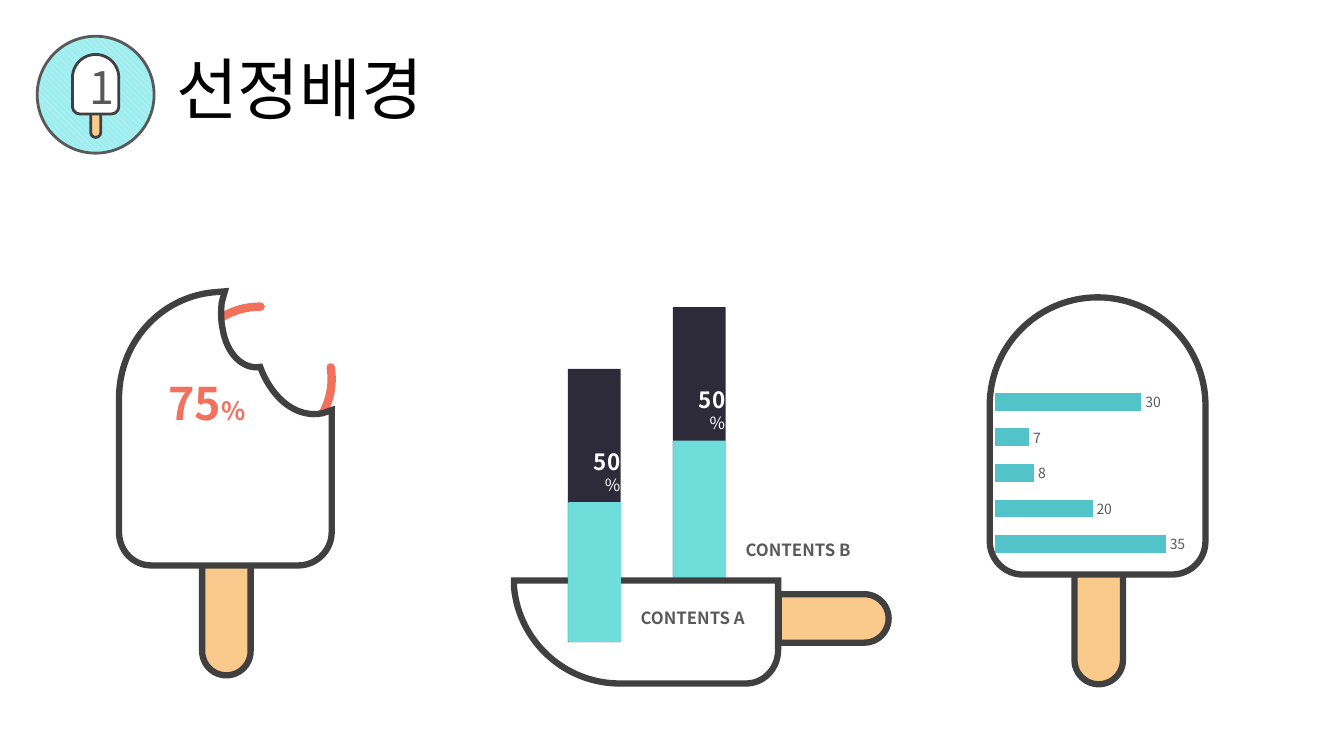
from lxml.etree import SubElement
from pptx import Presentation
from pptx.chart.data import CategoryChartData as ChartData
from pptx.dml.color import RGBColor as RGB
from pptx.enum.chart import XL_CHART_TYPE as ChartType, XL_LABEL_POSITION as LabelPos
from pptx.enum.dml import MSO_PATTERN as Pattern
from pptx.enum.shapes import MSO_SHAPE as Shape
from pptx.enum.text import MSO_ANCHOR as Anchor, PP_ALIGN as Align
from pptx.oxml.ns import qn
from pptx.util import Pt

FONT = "Noto Sans CJK KR"
COLORS = {
    "ink": "404040", "gray": "595959", "black": "000000", "white": "FFFFFF",
    "stick": "FACA8D", "coral": "F1715C", "navy": "2D2A3A", "bar": "52C4C9",
    "mint": "6FDEDB", "teal": "64D8D7", "ice": "D1F6F7", "aqua": "9FEEEF",
}
DOME, TIP = (0.5, 0.154), (0, 0.5)  # corner rounding: top, bottom


def color(name):
    return RGB.from_string(COLORS[name])


def paint(shape, fill=None, line=None, width=4.5):
    shape.shadow.inherit = False
    if fill:
        shape.fill.solid()
        shape.fill.fore_color.rgb = color(fill)
    else:
        shape.fill.background()
    if line:
        shape.line.color.rgb = color(line)
        shape.line.width = Pt(width)
    else:
        shape.line.fill.background()


def hatch(shape, pattern, fore, back):
    shape.fill.patterned()
    shape.fill.pattern = pattern
    shape.fill.fore_color.rgb = color(fore)
    shape.fill.back_color.rgb = color(back)


def add(shapes, kind, box, fill=None, line=None, width=4.5, adjust=(), turn=0):
    shape = shapes.add_shape(kind, *map(Pt, box))
    for i, value in enumerate(adjust):
        shape.adjustments[i] = value
    shape.rotation = turn
    paint(shape, fill, line, width)
    return shape


def write(shape, parts, tint, align=Align.LEFT):
    """Fill one paragraph with (text, size, bold) parts."""
    para = shape.text_frame.paragraphs[0]
    para.alignment = align
    for text, size, bold in parts:
        run = para.add_run()
        run.text = text
        run.font.size, run.font.bold, run.font.name = Pt(size), bold, FONT
        run.font.color.rgb = color(tint)
        SubElement(run.font._element, qn("a:ea"), typeface=FONT)


def label(shapes, box, parts, tint, align=Align.LEFT, wrap=True, inset=7.2):
    shape = shapes.add_textbox(*map(Pt, box))
    shape.text_frame.word_wrap = wrap
    shape.text_frame.margin_left = Pt(inset)
    write(shape, parts, tint, align)


def outline(shapes, start, steps):
    """Draw a closed shape; a step is one point (line) or three (curve)."""
    spots = [(Pt(x), Pt(y)) for step in steps for x, y in step]
    pen = shapes.build_freeform(*map(Pt, start))
    pen.add_line_segments(spots, close=True)
    shape = pen.convert_to_shape()
    paint(shape, "white", "ink")
    SubElement(shape.line._get_or_add_ln(), qn("a:miter"), lim="800000")

    # Merge each run of three line points into one curve
    lines = iter(list(shape._element.iter(qn("a:lnTo"))))
    for step in steps:
        first, *others = [next(lines) for _ in step]
        if others:
            first.tag = qn("a:cubicBezTo")
            for other in others:
                first.append(other[0])
                other.getparent().remove(other)


def stick(shapes, box, width=4.5, turn=0):
    add(shapes, Shape.ROUND_2_SAME_RECTANGLE, box, "stick", "ink", width, TIP, turn)


def dome(shapes, box, width=4.5):
    return add(shapes, Shape.ROUND_2_SAME_RECTANGLE, box, "white", "ink", width, DOME)


def stack(shapes, mid, top):
    """Draw an upright bar, half filled, with its share."""
    group = shapes.add_group_shape().shapes
    parts = ((195.1, 97.6, "navy"), (99.4, 145.1, "mint"))
    for size, drop, fill in parts:
        box = (mid - size / 2, top + drop - 18.85, size, 37.7)
        bar = add(group, Shape.RECTANGLE, box, fill, turn=270)
    hatch(bar, Pattern.DARK_VERTICAL, "mint", "teal")
    label(shapes, (mid - 24.8, top + 53, 50.4, 26.6),
          [("50", 16, True), ("%", 12, False)], "white", Align.RIGHT, inset=17)


def badge(shapes):
    group = shapes.add_group_shape().shapes
    disc = add(group, Shape.OVAL, (26.6, 25.9, 83.5, 83.5), "aqua", "gray", 2)
    hatch(disc, Pattern.WIDE_DOWNWARD_DIAGONAL, "ice", "aqua")
    stick(group, (64.8, 77, 7.2, 21.2), 2)
    body = dome(group, (51.8, 38.9, 33.1, 42.5), 2)
    body.text_frame.vertical_anchor = Anchor.MIDDLE
    write(body, [("1", 32, False)], "gray", Align.CENTER)


def bars(shapes, box):
    data = ChartData()
    data.categories = ["1", "2", "3", "4", "5"]
    data.add_series("Series 1", (35, 20, 8, 7, 30))
    chart = shapes.add_chart(ChartType.BAR_CLUSTERED, *map(Pt, box), data).chart
    chart.has_legend = chart.has_title = False
    chart.font.name, chart.font.size = FONT, Pt(10)
    chart.font.color.rgb = color("black")
    for axis in (chart.category_axis, chart.value_axis):
        axis.has_major_gridlines = False
        axis.visible = False
    chart.value_axis.minimum_scale, chart.value_axis.maximum_scale = 0, 40
    plot = chart.plots[0]
    plot.gap_width, plot.vary_by_categories = 100, False
    fill = plot.series[0].format.fill
    fill.solid()
    fill.fore_color.rgb = color("bar")
    tags = plot.series[0].data_labels
    tags.show_value, tags.position = True, LabelPos.OUTSIDE_END
    tags.font.name, tags.font.size = FONT, Pt(10)
    tags.font.color.rgb = color("gray")


def main():
    deck = Presentation()
    deck.slide_width, deck.slide_height = Pt(960), Pt(540)
    shapes = deck.slides.add_slide(deck.slide_layouts[6]).shapes

    # Rear bar and ring
    stack(shapes, 499.5, 219.3)
    ring = add(shapes, Shape.ARC, (133.9, 219.1, 103, 103), None, "coral", 6,
               (210.542, 162.515))
    ring.line._get_or_add_ln().set("cap", "rnd")

    badge(shapes)

    # Bitten ice bar
    stick(shapes, (144.4, 384.5, 34.6, 97.9))
    outline(shapes, (160.6, 208.1), [
        [(158.4, 216)],
        [(157.7, 222.5), (157.7, 229), (159.1, 235.4)],
        [(162, 252.7), (173.5, 264.2), (185.8, 262.1)],
        [(195.1, 286.6), (213.1, 298.8), (230.4, 295.2)],
        [(236.9, 293)], [(236.9, 380.2)],
        [(236.9, 393.1), (226.1, 403.9), (213.1, 403.9)],
        [(108, 403.9)],
        [(95, 403.9), (85, 393.1), (85, 380.2)],
        [(85, 284.4)],
        [(85, 244.8), (114.5, 212.4), (152.6, 208.8)],
    ])

    # Lying ice bar
    stick(shapes, (578.2, 402.5, 34.6, 78.5), turn=270)
    outline(shapes, (367.2, 414.7), [
        [(555.8, 414.7)], [(555.8, 464.4)],
        [(555.8, 477.4), (545.8, 488.2), (532.8, 488.2)],
        [(442.8, 488.2)],
        [(403.2, 488.2), (370.8, 457.9), (367.2, 419.8)],
    ])

    # Figures and captions
    label(shapes, (111.2, 265, 73.4, 46.1),
          [("75", 32, True), ("%", 18, True)], "coral", Align.CENTER)
    stack(shapes, 424.5, 263.5)
    for name, x, y in (("A", 443.1, 430.6), ("B", 518.2, 382.3)):
        label(shapes, (x, y, 98, 21.6), [(f"CONTENTS {name}", 12, True)], "gray",
              wrap=False, inset=14.4)

    # Ice bar with chart
    group = shapes.add_group_shape().shapes
    stick(group, (767.5, 390.2, 34.6, 98.6))
    dome(group, (707, 212.4, 154.1, 198))
    bars(shapes, (707.8, 271.6, 145.4, 132.5))

    label(shapes, (118.8, 30.2, 560.9, 65.5), [("선정배경", 48, False)], "black")
    deck.save("out.pptx")


if __name__ == "__main__":
    main()
